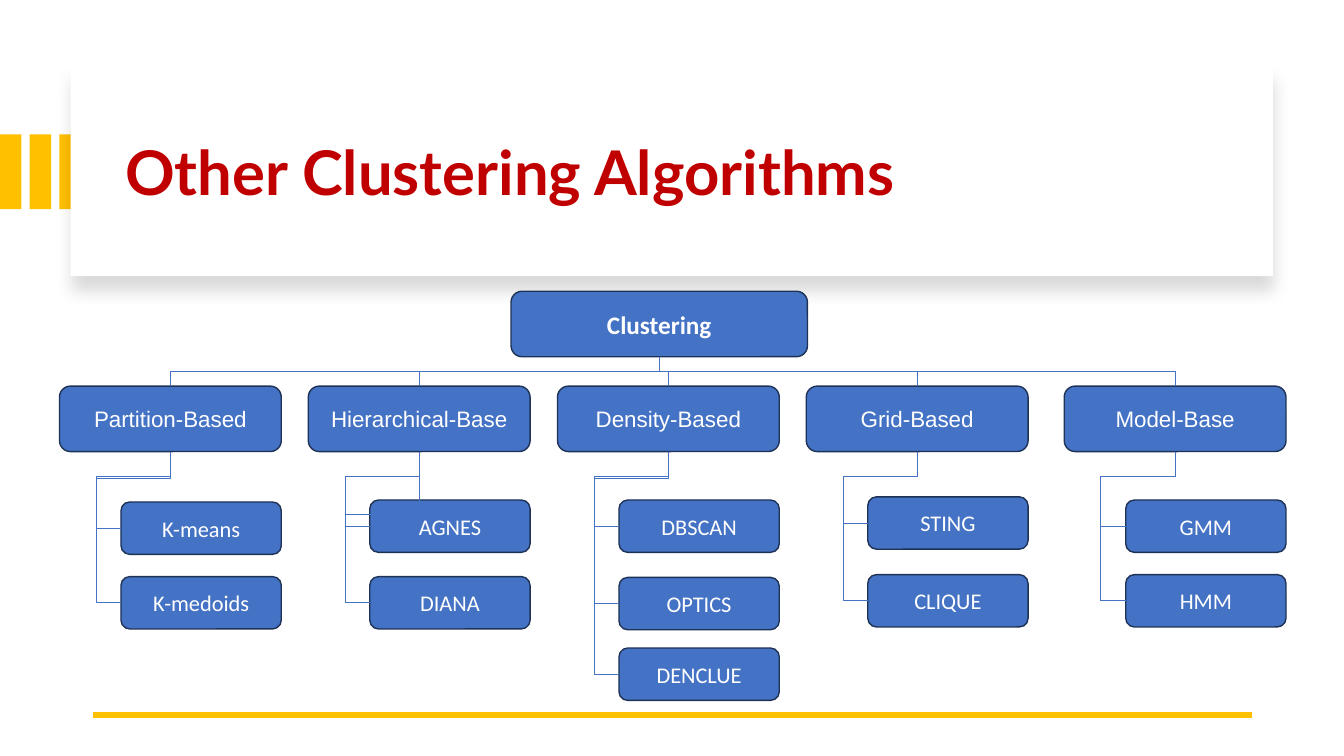
from lxml import etree
from pptx import Presentation
from pptx import util as u
from pptx.dml.color import RGBColor
from pptx.enum import shapes, text
from pptx.oxml import parse_xml
from pptx.oxml.ns import qn

GOLD = RGBColor(0xFF, 0xC0, 0x00)
WHITE = RGBColor(0xFF, 0xFF, 0xFF)
RED = RGBColor(0xC0, 0x00, 0x00)
BLUE = RGBColor(0x44, 0x72, 0xC4)
NAVY = RGBColor(0x1E, 0x32, 0x56)

TOP_SITE, LEFT_SITE, BOTTOM_SITE = 0, 1, 2
TURN = 0.62    # drop below a family box before its connectors turn
GUTTER = 0.63  # gap between the vertical connector and the method boxes

# Family name, left edge, and its methods as (name, top edge, turn), in cm
FAMILIES = [
    ("Partition-Based", 1.5, [("K-means", 12.65, TURN), ("K-medoids", 14.53, 0.67)]),
    ("Hierarchical-Base", 7.77, [("AGNES", 12.6, TURN), ("DIANA", 14.53, 1.58)]),
    ("Density-Based", 14.05, [("DBSCAN", 12.6, TURN), ("OPTICS", 14.55, TURN),
                              ("DENCLUE", 16.33, 0.67)]),
    ("Grid-Based", 20.32, [("STING", 12.52, TURN), ("CLIQUE", 14.48, TURN)]),
    ("Model-Base", 26.82, [("GMM", 12.6, TURN), ("HMM", 14.48, TURN)]),
]

SHADOW = (
    '<a:effectLst xmlns:a="http://schemas.openxmlformats.org/drawingml/2006/main">'
    '<a:outerShdw blurRad="139700" dist="127000" dir="5400000" algn="t" rotWithShape="0">'
    '<a:srgbClr val="000000"><a:alpha val="15000"/></a:srgbClr>'
    '</a:outerShdw></a:effectLst>'
)


def add_plain_rectangle(parent, box, color):
    shape = parent.add_shape(shapes.MSO_SHAPE.RECTANGLE, *map(u.Cm, box))
    shape.shadow.inherit = False
    shape.fill.solid()
    shape.fill.fore_color.rgb = color
    shape.line.fill.background()
    return shape


def add_node(page, box, label, font_name, size=16, bold=False):
    node = page.shapes.add_shape(shapes.MSO_SHAPE.ROUNDED_RECTANGLE, *map(u.Cm, box))
    node.shadow.inherit = False
    node.fill.solid()
    node.fill.fore_color.rgb = BLUE
    node.line.color.rgb = NAVY
    node.line.width = u.Pt(1)
    frame = node.text_frame
    frame.vertical_anchor = text.MSO_ANCHOR.MIDDLE
    para = frame.paragraphs[0]
    para.text = label
    para.alignment = text.PP_ALIGN.CENTER
    para.font.name = font_name
    para.font.size = u.Pt(size)
    para.font.bold = bold
    para.font.color.rgb = WHITE
    return node


def style_line(line, color, width):
    line.line.color.rgb = color
    line.line.width = u.Pt(width)
    etree.SubElement(line._element.spPr, qn("a:effectLst"))


def link(page, parent, child, turn=None):
    """Join parent's bottom to child's top, or to its left side if a turn is given."""
    start_x, start_y = parent.left + parent.width // 2, parent.top + parent.height
    if turn is None:
        site, end_x, end_y = TOP_SITE, child.left + child.width // 2, child.top
    else:
        site, end_x, end_y = LEFT_SITE, child.left, child.top + child.height // 2
    line = page.shapes.add_connector(
        shapes.MSO_CONNECTOR.ELBOW, start_x, start_y, end_x, end_y)
    line.begin_connect(parent, BOTTOM_SITE)
    line.end_connect(child, site)

    # A quarter turn makes the connector leave its parent downwards
    drop, shift = end_y - start_y, abs(end_x - start_x)
    line.left = (start_x + end_x - drop) // 2
    line.top = (start_y + end_y - shift) // 2
    line.width, line.height = drop, shift
    frame = line._element.spPr.find(qn("a:xfrm"))
    rightwards = end_x > start_x
    frame.rot = 270 if rightwards else 90
    frame.flipH, frame.flipV = rightwards, False

    if turn is not None:
        geometry = line._element.spPr.find(qn("a:prstGeom"))
        geometry.set("prst", "bentConnector4")
        guides = geometry.find(qn("a:avLst"))
        ratios = (u.Cm(turn) / drop, 1 + u.Cm(GUTTER) / shift)
        for number, ratio in enumerate(ratios, 1):
            etree.SubElement(guides, qn("a:gd"), name=f"adj{number}",
                             fmla=f"val {round(ratio * 100000)}")
    style_line(line, BLUE, 0.5)


def add_header(page, box):
    left, top, width, height = box
    # Gold stripes that run in behind the card
    stripes = page.shapes.add_group_shape()
    for index in range(3):
        add_plain_rectangle(
            stripes.shapes, (index * 0.75, top + 1.69, 0.54, 1.88), GOLD)

    # White card with a soft shadow
    card = add_plain_rectangle(page.shapes, box, WHITE)
    properties = card._element.spPr
    properties.remove(properties.find(qn("a:effectLst")))
    properties.append(parse_xml(SHADOW))

    # Title, brought in front of the card
    title = page.shapes.title
    card._element.addnext(title._element)
    title.left, title.top = u.Cm(left + 1.12), u.Cm(top + 0.56)
    title.width, title.height = u.Cm(width - 2.69), u.Cm(height - 0.94)
    title.text_frame.vertical_anchor = text.MSO_ANCHOR.MIDDLE
    para = title.text_frame.paragraphs[0]
    para.text = "Other Clustering Algorithms"
    para.alignment = text.PP_ALIGN.LEFT
    para.line_spacing = 0.9
    para.font.name = "Lato"
    para.font.size = u.Pt(44)
    para.font.bold = True
    para.font.color.rgb = RED


def add_footer_rule(page, left, right, height):
    rule = page.shapes.add_connector(
        shapes.MSO_CONNECTOR.STRAIGHT, *map(u.Cm, (right, height, left, height)))
    style_line(rule, GOLD, 4.5)


def add_family(page, root, box, label, methods):
    left, top, width, height = box
    family = add_node(page, box, label, "Arial")
    link(page, root, family)
    for method, method_top, turn in methods:
        node = add_node(page, (left + 1.55, method_top, width - 1.55, 1.32),
                        method, "Calibri")
        link(page, family, node, turn)


def add_tree(page, root_box):
    root = add_node(page, root_box, "Clustering", "Calibri", size=18, bold=True)
    top = root_box[1] + 2.39
    for label, left, methods in FAMILIES:
        add_family(page, root, (left, top, 5.59, 1.65), label, methods)


def main():
    deck = Presentation()
    deck.slide_width, deck.slide_height = u.Cm(33.87), u.Cm(19.05)
    page = deck.slides.add_slide(deck.slide_layouts.get_by_name("Title Only"))
    add_header(page, (1.78, 1.7, 30.3, 5.26))
    add_footer_rule(page, 2.34, 31.55, 18.01)
    add_tree(page, (12.88, 7.34, 7.47, 1.65))
    deck.save("out.pptx")


if __name__ == "__main__":
    main()
